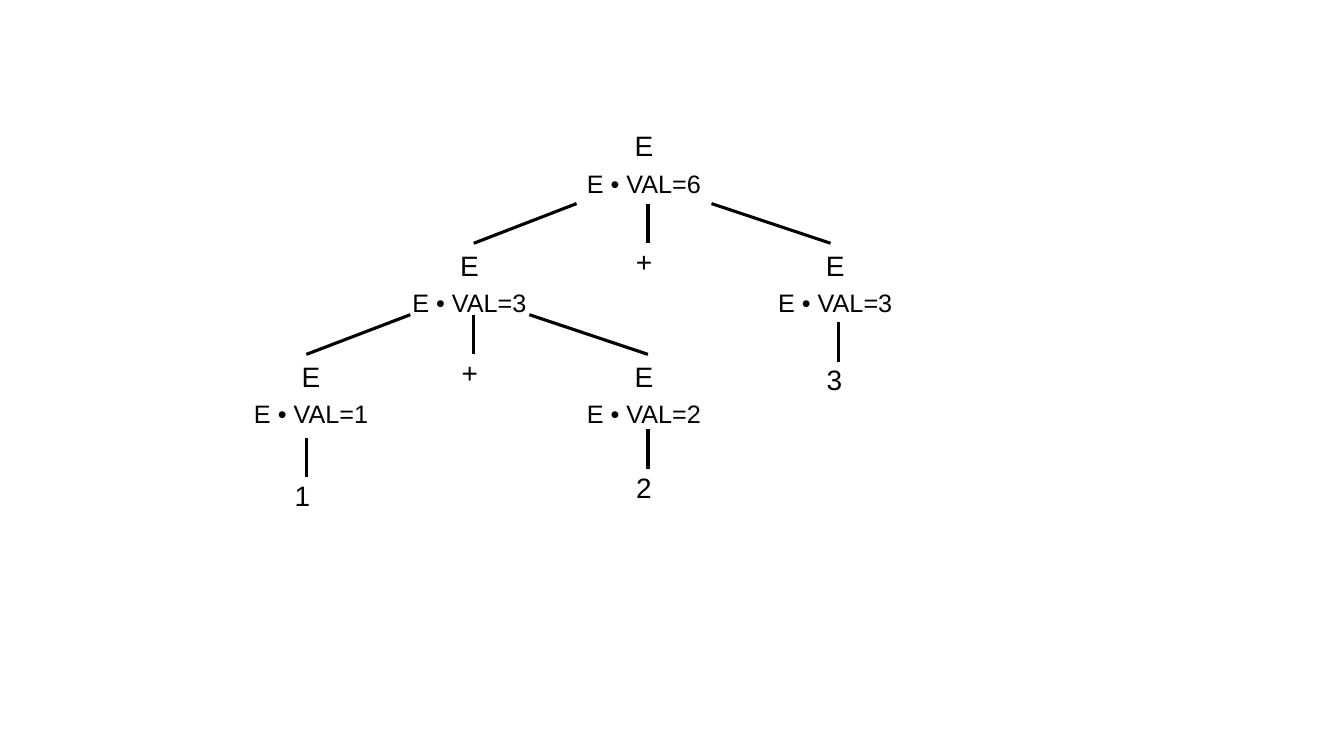
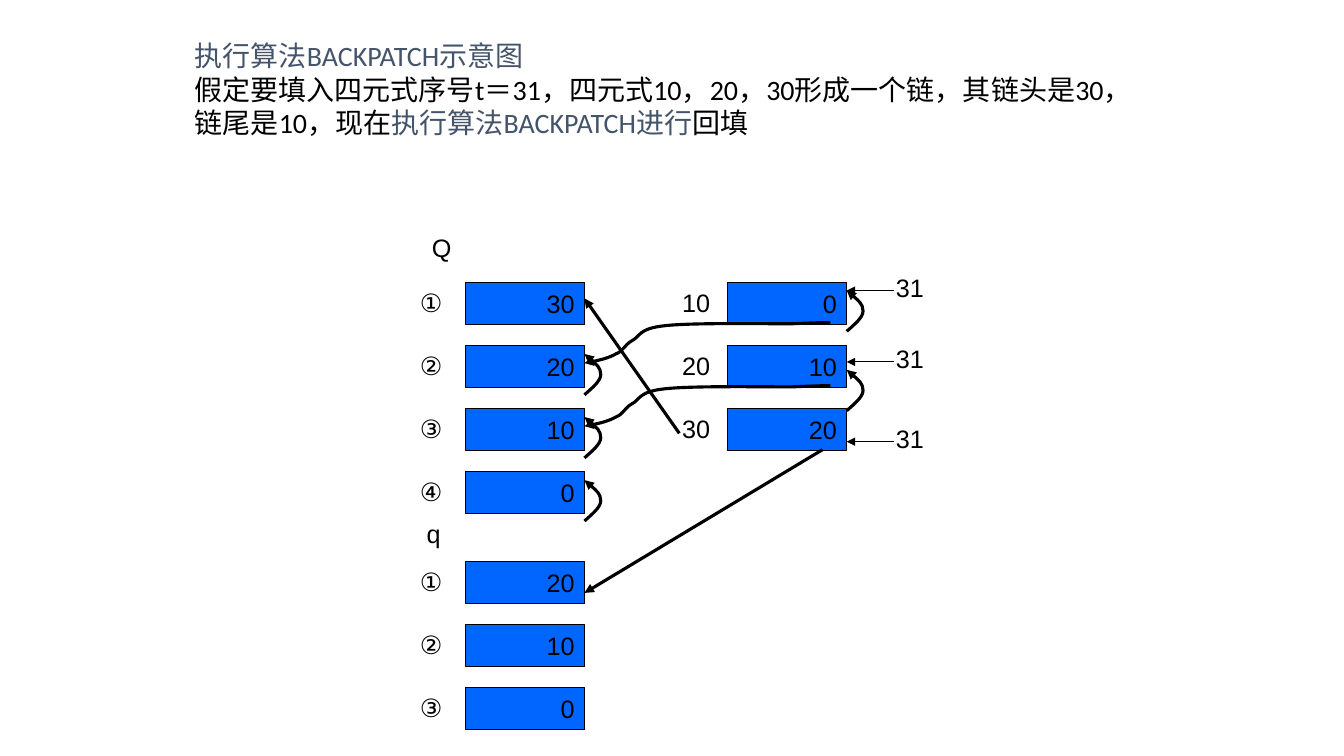
from pptx import Presentation
from pptx.dml.color import RGBColor
from pptx.enum.shapes import MSO_CONNECTOR, MSO_SHAPE
from pptx.enum.text import MSO_ANCHOR, MSO_AUTO_SIZE, PP_ALIGN
from pptx.oxml.ns import qn
from pptx.util import Cm, Pt
from lxml.etree import SubElement

COLORS = {"ink": "000000", "accent": "44546A", "cell": "0066FF"}
ROW_STEP = 1.59
CELL_WIDTH, CELL_HEIGHT = 3.0, 1.05
BRANCH_HEIGHT = 1.0

LOOP = [(0, 1.03), (0.2, 0.85), (0.41, 0.68), (0.41, 0.52),
        (0.41, 0.34), (0.2, 0.17), (0, 0)]
WAVE = [(6.2, 0), (6.05, 0), (5.89, 0), (5.21, 0.03), (4.5, 0.03), (2.67, 0),
        (2.01, 0.08), (1.35, 0.15), (1.4, 0.36), (1.19, 0.46), (0.99, 0.58),
        (0.99, 0.71), (0.79, 0.79), (0.61, 0.89), (0.3, 0.97), (0, 1.02)]

TREE_NODES = [(10.89, 0, 6), (6.49, 3.01, 3), (15.71, 3.01, 3),
              (2.5, 5.81, 1), (10.89, 5.81, 2)]
TREE_STEMS = [(10.99, 2.01, "+"), (6.6, 4.81, "+"), (15.79, 5, "3"),
              (2.38, 7.91, "1"), (10.99, 7.7, "2")]
TREE_ARMS = [(9.19, 6.6, 2.01), (12.59, 15.59, 2.01),
             (5, 2.38, 4.81), (8, 10.99, 4.81)]

HEADING = [
    [("执行算法BACKPATCH示意图", "accent")],
    [("假定要填入四元式序号t＝31，四元式10，20，30形成一个链，其链头是30，", "ink")],
    [("链尾是10，现在", "ink"), ("执行算法BACKPATCH进行", "accent"), ("回填", "ink")],
]


def rgb(color):
    """Return the named palette colour."""
    return RGBColor.from_string(COLORS[color])


def write(paragraph, text, size=18, font="Arial", color="ink", align=PP_ALIGN.LEFT):
    """Add formatted text to a paragraph."""
    paragraph.alignment = align
    run = paragraph.add_run()
    run.text = text
    run.font.size = Pt(size)
    run.font.name = font
    run.font.bold = False
    run.font.color.rgb = rgb(color)


def add_label(slide, left, top, text, width=1.5, height=1.02, **style):
    """Place a text box holding one line."""
    frame = slide.shapes.add_textbox(Cm(left), Cm(top), Cm(width), Cm(height)).text_frame
    frame.word_wrap = True
    write(frame.paragraphs[0], text, **style)


def add_centered(slide, center, top, text, width, **style):
    """Place a label centred on a vertical axis."""
    add_label(slide, center - width / 2, top, text, width,
              align=PP_ALIGN.CENTER, **style)


def style_stroke(stroke, weight, arrow):
    """Set the colour, weight and optional arrowhead of a line or curve."""
    stroke.line.color.rgb = rgb("ink")
    stroke.line.width = Pt(weight)
    properties = stroke._element.spPr
    if arrow:
        SubElement(properties.find(qn("a:ln")), qn("a:tailEnd"), type="triangle")
    if properties.find(qn("a:effectLst")) is None:
        SubElement(properties, qn("a:effectLst"))


def add_line(slide, start, end, weight=2.25, arrow=False):
    """Draw a straight line between two points."""
    points = [Cm(value) for value in (*start, *end)]
    style_stroke(slide.shapes.add_connector(MSO_CONNECTOR.STRAIGHT, *points), weight, arrow)


def add_curve(slide, left, top, controls):
    """Draw a curved arrow from cubic control points relative to its corner."""
    points = [(Cm(left + x), Cm(top + y)) for x, y in controls]
    builder = slide.shapes.build_freeform(*points[0])
    builder.add_line_segments(points[1:], close=False)
    curve = builder.convert_to_shape()
    outline = next(curve._element.iter(qn("a:path")))
    segments = outline.findall(qn("a:lnTo"))
    for first in range(0, len(segments), 3):
        bend = SubElement(outline, qn("a:cubicBezTo"))
        for segment in segments[first:first + 3]:
            bend.append(segment[0])
            outline.remove(segment)
    curve.fill.background()
    style_stroke(curve, 2.25, True)


def draw_tree(slide, left, top):
    """Draw the annotated parse tree."""
    for x, y, value in TREE_NODES:
        add_centered(slide, left + x, top + y, "E", 1.4, height=1.1, size=20)
        add_centered(slide, left + x, top + y + 0.99, f"E • VAL={value}", 5)
    for x, y, symbol in TREE_STEMS:
        bottom = top + y + BRANCH_HEIGHT
        add_line(slide, (left + x, top + y), (left + x, bottom))
        add_centered(slide, left + x - 0.1, bottom - 0.1, symbol, 1.4, height=1.1, size=20)
    for inner, outer, y in TREE_ARMS:
        add_line(slide, (left + inner, top + y), (left + outer, top + y + BRANCH_HEIGHT))


def draw_heading(slide, left, top, width, height):
    """Fill the title placeholder with the problem statement."""
    title = slide.shapes.title
    title.left, title.top, title.width, title.height = map(Cm, (left, top, width, height))
    frame = title.text_frame
    frame.word_wrap = True
    frame.auto_size = MSO_AUTO_SIZE.NONE
    frame.vertical_anchor = MSO_ANCHOR.TOP
    for index, pieces in enumerate(HEADING):
        paragraph = frame.add_paragraph() if index else frame.paragraphs[0]
        for text, color in pieces:
            write(paragraph, text, size=20, font="Calibri", color=color)


def draw_column(slide, left, top, rows):
    """Draw a column of labelled cells."""
    for index, (label, value) in enumerate(rows):
        y = top + index * ROW_STEP
        cell = slide.shapes.add_shape(MSO_SHAPE.RECTANGLE, Cm(left), Cm(y),
                                      Cm(CELL_WIDTH), Cm(CELL_HEIGHT))
        cell.shadow.inherit = False
        cell.fill.solid()
        cell.fill.fore_color.rgb = rgb("cell")
        cell.line.color.rgb = rgb("ink")
        cell.line.width = Pt(0.75)
        cell.text_frame.vertical_anchor = MSO_ANCHOR.MIDDLE
        write(cell.text_frame.paragraphs[0], value, align=PP_ALIGN.RIGHT)
        add_label(slide, left - 1.4, y, label)


def draw_backpatch(slide, left, top):
    """Draw the stacks, the quadruple chain and the arrows joining them."""
    stack_edge = left + CELL_WIDTH
    chain_left = left + 6.61
    chain_edge = chain_left + CELL_WIDTH
    draw_column(slide, chain_left, top, [("10", "0"), ("20", "10"), ("30", "20")])
    draw_column(slide, left, top, [("①", "30"), ("②", "20"), ("③", "10"), ("④", "0")])
    draw_column(slide, left, top + 7.03, [("①", "20"), ("②", "10"), ("③", "0")])
    add_centered(slide, left - 0.6, top - 1.4, "Q", 2.8)
    add_centered(slide, left - 0.8, top + 5.81, "q", 2.8)
    for y in (0.2, 2.0, 4.01):
        add_label(slide, chain_edge + 0.99, top + y - 0.59, "31")
        add_line(slide, (chain_edge + 1.19, top + y), (chain_edge, top + y), 0.75, True)
    for y in (0.2, 2.2):
        add_curve(slide, chain_edge, top + y, LOOP)
    for row in (1, 2, 3):
        add_curve(slide, stack_edge, top + row * ROW_STEP + 0.21, LOOP)
    for row in (0, 1):
        add_curve(slide, stack_edge, top + row * ROW_STEP + 1.01, WAVE)
    add_line(slide, (chain_left - 1.22, top + 3.8), (stack_edge, top + 0.4), arrow=True)
    add_line(slide, (chain_edge - 0.61, top + 4.21), (stack_edge, top + 7.82), arrow=True)


def main():
    """Build and save both slides."""
    deck = Presentation()
    deck.slide_width, deck.slide_height = Cm(33.87), Cm(19.05)
    draw_tree(deck.slides.add_slide(deck.slide_layouts[6]), 5.34, 3.12)
    backpatch = deck.slides.add_slide(deck.slide_layouts[5])
    draw_heading(backpatch, 4.65, 0.84, 24.13, 4.52)
    draw_backpatch(backpatch, 11.73, 7.12)
    deck.save("out.pptx")


if __name__ == "__main__":
    main()
